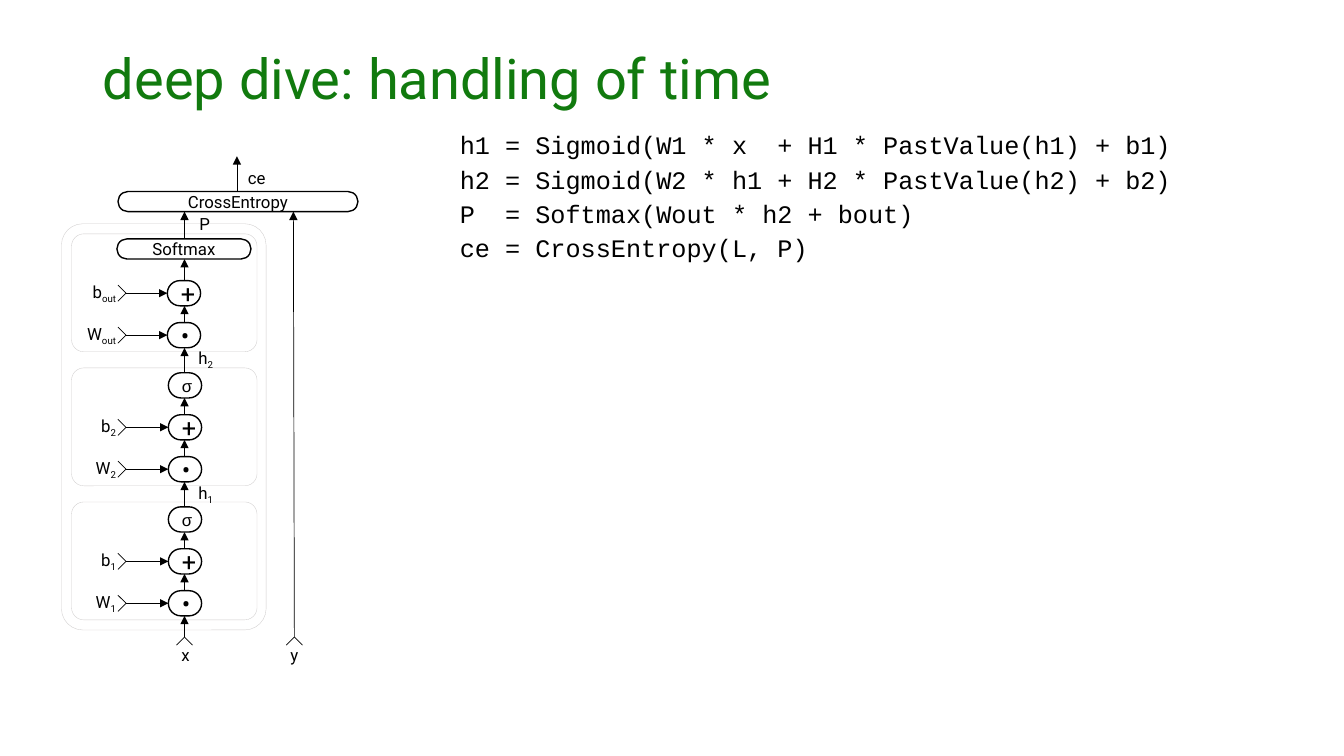
from pptx import Presentation
from pptx.dml.color import RGBColor
from pptx.enum.shapes import MSO_CONNECTOR, MSO_SHAPE
from pptx.enum.text import MSO_ANCHOR, MSO_AUTO_SIZE, PP_ALIGN
from pptx.oxml.ns import qn
from pptx.util import Inches, Pt
from lxml import etree

GREEN = RGBColor(0x11, 0x7A, 0x0E)
BLACK = RGBColor(0, 0, 0)
WHITE = RGBColor(0xFF, 0xFF, 0xFF)
GREY = RGBColor(0xD0, 0xCE, 0xCE)

presentation = Presentation()
presentation.slide_width = Inches(13.33)
presentation.slide_height = Inches(7.5)
slide = presentation.slides.add_slide(presentation.slide_layouts[1])


def style_run(run, size, font="Roboto", color=BLACK):
    run.font.size = Pt(size)
    run.font.name = font
    run.font.color.rgb = color


def add_stroke(x1, y1, x2, y2, arrow=False):
    stroke = slide.shapes.add_connector(
        MSO_CONNECTOR.STRAIGHT, Inches(x1), Inches(y1), Inches(x2), Inches(y2))
    stroke.line.color.rgb = BLACK
    stroke.line.width = Pt(0.5)
    properties = stroke._element.spPr
    if arrow:
        etree.SubElement(properties.find(qn("a:ln")), qn("a:tailEnd"), type="triangle")
    etree.SubElement(properties, qn("a:effectLst"))


title = slide.shapes.title
title.left, title.top, title.width, title.height = map(Inches, (0.92, 0.08, 11.5, 1.45))
title.text_frame.text = "deep dive: handling of time"
title.text_frame.vertical_anchor = MSO_ANCHOR.MIDDLE
title.text_frame.auto_size = MSO_AUTO_SIZE.NONE
heading = title.text_frame.paragraphs[0]
heading.alignment = PP_ALIGN.LEFT
heading.line_spacing = 0.9
style_run(heading.runs[0], 40, color=GREEN)

equations = slide.placeholders[1]
equations.left, equations.top, equations.width, equations.height = map(
    Inches, (3.96, 1.27, 9.33, 4.7))
equations.text_frame.text = "\n".join([
    "h1 = Sigmoid(W1 * x  + H1 * PastValue(h1) + b1)",
    "h2 = Sigmoid(W2 * h1 + H2 * PastValue(h2) + b2)",
    "P  = Softmax(Wout * h2 + bout)",
    "ce = CrossEntropy(L, P)",
])
equations.text_frame.auto_size = MSO_AUTO_SIZE.NONE
for equation in equations.text_frame.paragraphs:
    equation.level = 1
    equation.line_spacing = 0.9
    equation.space_before = Pt(5)
    indents = equation._p.get_or_add_pPr()
    indents.set("marL", str(Inches(0.5)))
    indents.set("indent", "0")
    etree.SubElement(indents, qn("a:buNone"))
    style_run(equation.runs[0], 18, "Courier New")

layer_frames = [(0.71, 2.32 + 1.33 * layer, 1.84, 1.17) for layer in range(3)]
for bounds in layer_frames + [(0.61, 2.22, 2.03, 4.03)]:
    frame = slide.shapes.add_shape(MSO_SHAPE.ROUNDED_RECTANGLE, *map(Inches, bounds))
    frame.adjustments[0] = 0.104
    frame.fill.background()
    frame.line.color.rgb = GREY
    frame.line.width = Pt(0.25)
    frame.shadow.inherit = False

STEM = 1.83
OPERATOR_HEIGHT = 0.25
OPERATORS = [("•", 18, "Roboto"), ("+", 18, "Roboto"), ("σ", 12, "Arial")]
LAYERS = [("1", 5.86, 1.67, 3, 0.45, 0.45),
          ("2", 4.53, 1.67, 3, 0.45, 0.45),
          ("out", 3.2, 1.66, 2, 0.67, 0.79)]

nodes = []
labels = []
for index, dot_top, left, count, weight_width, bias_width in LAYERS:
    for step, operator in enumerate(OPERATORS[:count]):
        nodes.append((left, dot_top - 0.416 * step, 0.33, OPERATOR_HEIGHT, *operator))
    for step, (symbol, width) in enumerate([("W", weight_width), ("b", bias_width)]):
        top = dot_top - 0.416 * step
        labels.append((symbol, index, 1.25 - width, top, width, PP_ALIGN.RIGHT))
        middle = top + OPERATOR_HEIGHT / 2
        add_stroke(1.25, middle, left, middle, arrow=True)
        for side in (-0.08, 0.08):
            add_stroke(1.17, middle + side, 1.25, middle)
nodes.append((1.16, 2.37, 1.33, 0.2, "Softmax", 12, "Roboto"))
nodes.append((1.17, 1.9, 2.38, 0.2, "CrossEntropy", 12, "Roboto"))

source = 6.32
for left, top, width, height, *caption in nodes:
    add_stroke(STEM, source, STEM, top + height, arrow=True)
    source = top
add_stroke(2.92, 6.32, 2.91, 2.1, arrow=True)
add_stroke(2.35, 1.9, 2.35, 1.55, arrow=True)
for tip in (STEM, 2.92):
    for side in (-0.08, 0.08):
        add_stroke(tip + side, 6.4, tip, 6.32)

for left, top, width, height, text, size, font in nodes:
    node = slide.shapes.add_shape(
        MSO_SHAPE.ROUNDED_RECTANGLE, *map(Inches, (left, top, width, height)))
    node.adjustments[0] = 0.5
    node.fill.solid()
    node.fill.fore_color.rgb = WHITE
    node.line.color.rgb = BLACK
    node.line.width = Pt(1)
    node.shadow.inherit = False
    node.text_frame.text = text
    node.text_frame.vertical_anchor = MSO_ANCHOR.MIDDLE
    node.text_frame.paragraphs[0].alignment = PP_ALIGN.CENTER
    style_run(node.text_frame.paragraphs[0].runs[0], size, font)

labels += [
    ("h", "1", 1.87, 4.78, 0.45, PP_ALIGN.LEFT),
    ("h", "2", 1.87, 3.44, 0.45, PP_ALIGN.LEFT),
    ("P", "", 1.88, 2.11, 0.45, PP_ALIGN.LEFT),
    ("ce", "", 2.36, 1.65, 0.45, PP_ALIGN.LEFT),
    ("x", "", 1.63, 6.39, 0.42, PP_ALIGN.CENTER),
    ("y", "", 2.71, 6.39, 0.42, PP_ALIGN.CENTER),
]
for symbol, index, left, top, width, alignment in labels:
    label = slide.shapes.add_textbox(*map(Inches, (left, top, width, 0.25)))
    label.text_frame.word_wrap = True
    label.text_frame.margin_top = Inches(0.01)
    label.text_frame.text = symbol
    line = label.text_frame.paragraphs[0]
    line.alignment = alignment
    style_run(line.runs[0], 12)
    if index:
        subscript = line.add_run()
        subscript.text = index
        style_run(subscript, 12)
        subscript._r.get_or_add_rPr().set("baseline", "-25000")

presentation.save("out.pptx")
